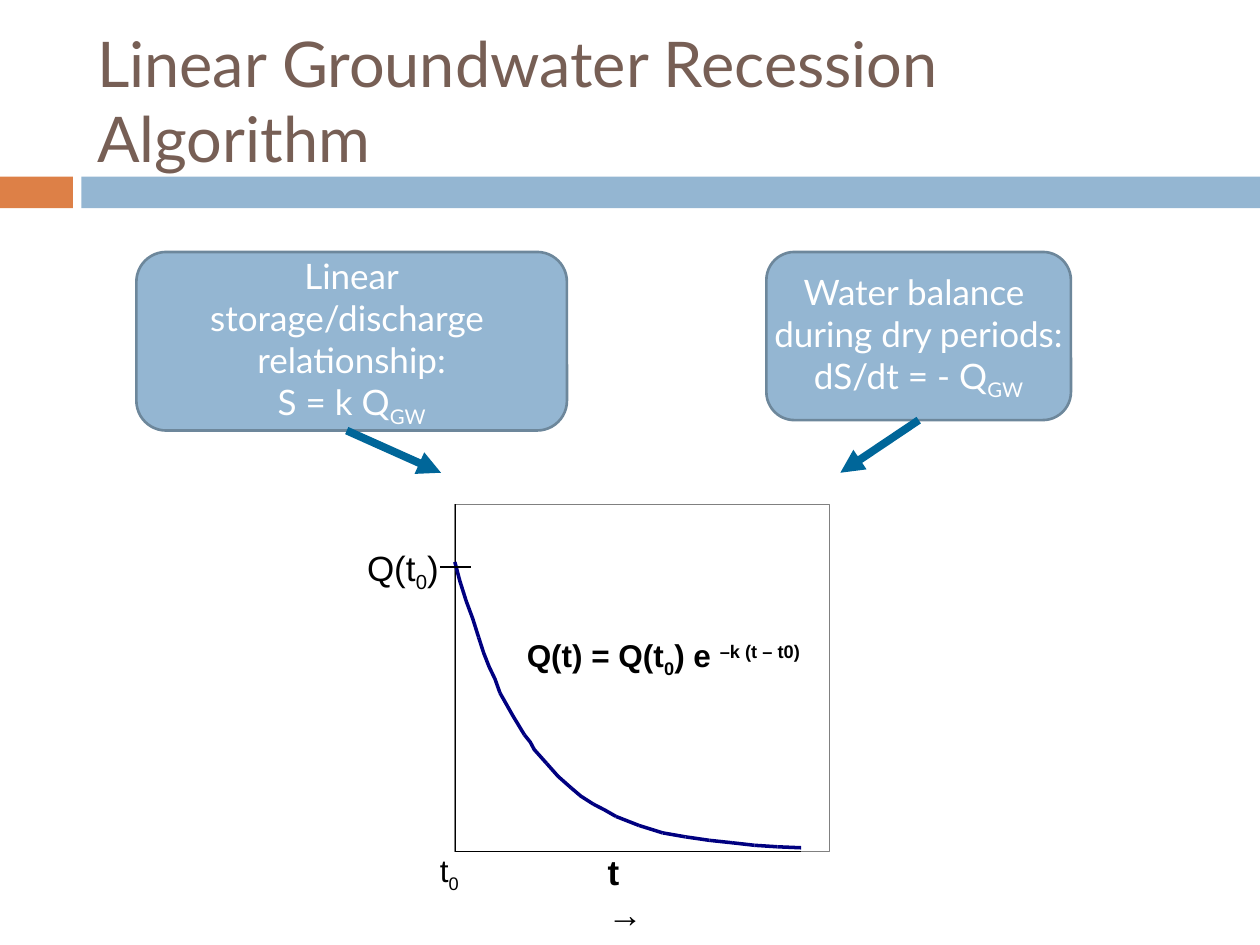
from itertools import pairwise

from lxml import etree
from pptx import Presentation
from pptx import util as u
from pptx.dml.color import RGBColor
from pptx.enum import shapes as sh, text as tx
from pptx.oxml.ns import qn

# Content: a paragraph is a list of (text, baseline shift in percent)
TITLE = [[("Linear Groundwater Recession Algorithm", 0)]]
BARS = [((0, 3.56, 1.47, 0.64), "DD8047"), ((1.64, 3.56, 23.76, 0.64), "94B6D2")]
STORE = [[("Linear", 0)], [("storage/discharge ", 0)], [("relationship:", 0)],
         [("S = k Q", 0), ("GW", -25)]]
WATER = [[("Water balance ", 0)], [("during dry periods:", 0)],
         [("dS/dt = - Q", 0), ("GW", -25)]]
FLOW = [[("Q(t) = Q(t", 0), ("0", -25), (") e ", 0), ("–k (t – t0)", 30)]]
LABELS = [  # place, paragraphs, format
    ((7.4, 11.01, 1.47, 0.84), [[("Q(t", 0), ("0", -25), (")", 0)]],
     dict(size=20, wrap=False, pad=(0, 0))),
    ((8.87, 17.15, 0.41, 0.76), [[("t", 0), ("0", -25)]],
     dict(size=18, wrap=False, pad=(0, 0))),
    ((12.25, 17.15, 1.02, 1.68), [[("t →", 0)]],
     dict(size=20, bold=True, pad=(0, 0))),
    ((10.37, 12.7, 6.35, 1.02), FLOW, dict(size=18, bold=True)),
]
CURVE = [
    (9.17, 11.33), (9.27, 11.71), (9.4, 12.12), (9.53, 12.47), (9.65, 12.85),
    (9.75, 13.16), (9.86, 13.44), (9.98, 13.69), (10.08, 13.97), (10.21, 14.2),
    (10.34, 14.43), (10.57, 14.81), (10.69, 14.96), (10.77, 15.11), (11.02, 15.39),
    (11.25, 15.65), (11.51, 15.88), (11.71, 16.05), (11.96, 16.21), (12.19, 16.33),
    (12.42, 16.46), (12.88, 16.64), (13.36, 16.79), (13.82, 16.87), (14.3, 16.94),
    (14.76, 16.99), (15.21, 17.04), (15.67, 17.07), (16.15, 17.09)]
BENDS = [0, 4, 8, 11, 14, 16, 18, 20]  # curved pieces end here, straight ones follow
LEFT, TOP, WIDE, HIGH = PLOT = (9.17, 10.17, 7.56, 6.99)
BASE = TOP + HIGH

deck = Presentation()
deck.slide_width, deck.slide_height = u.Cm(25.4), u.Cm(19.05)
slide = deck.slides.add_slide(deck.slide_layouts[6])
parts = slide.shapes


def color(code):
    return RGBColor.from_string(code)


def cms(nums):
    return [u.Cm(n) for n in nums]


def write(shape, paras, size=20, face="Arial", ink="000000", bold=False,
          wrap=True, pad=(0.25, 0.13), align=None, anchor=tx.MSO_ANCHOR.TOP):
    frame = shape.text_frame
    frame.word_wrap, frame.vertical_anchor = wrap, anchor
    frame.margin_left = frame.margin_right = u.Cm(pad[0])
    frame.margin_top = frame.margin_bottom = u.Cm(pad[1])
    for i, runs in enumerate(paras):
        para = frame.add_paragraph() if i else frame.paragraphs[0]
        para.alignment = align
        for words, shift in runs:
            run = para.add_run()
            run.text = words
            font = run.font
            font.size, font.name, font.bold = u.Pt(size), face, bold
            font.color.rgb = color(ink)
            if shift:
                run._r.get_or_add_rPr().set("baseline", str(shift * 1000))


def style(shape, fill=None, line=None, width=0):
    shape.shadow.inherit = False
    if fill:
        shape.fill.solid()
        shape.fill.fore_color.rgb = color(fill)
    else:
        shape.fill.background()
    if line:
        shape.line.color.rgb = color(line)
        shape.line.width = u.Pt(width)
    else:
        shape.line.fill.background()
    return shape


def block(kind, place, **form):
    return style(parts.add_shape(kind, *cms(place)), **form)


def link(ends, ink="000000", width=0.1, arrow=False):
    line = parts.add_connector(sh.MSO_CONNECTOR.STRAIGHT, *cms(ends))
    line.line.color.rgb = color(ink)
    line.line.width = u.Pt(width)
    if arrow:
        etree.SubElement(line.line._get_or_add_ln(), qn("a:tailEnd"), type="triangle")
    etree.SubElement(line._element.spPr, qn("a:effectLst"))
    return line


# Title and bars
for place, fill in BARS:
    block(sh.MSO_SHAPE.RECTANGLE, place, fill=fill)
write(parts.add_textbox(*cms((1.71, 0.64, 22.66, 2.74))), TITLE, size=36,
      face="Lato", ink="775F55", anchor=tx.MSO_ANCHOR.MIDDLE)


# Two assumptions
def card(place, paras):
    box = block(sh.MSO_SHAPE.ROUNDED_RECTANGLE, place,
                fill="94B6D2", line="6D879B", width=1.5)
    write(box, paras, face="Lato", ink="FFFFFF", wrap=False,
          align=tx.PP_ALIGN.CENTER, anchor=tx.MSO_ANCHOR.MIDDLE)
    return box


water = card((15.45, 5.08, 6.14, 3.39), WATER)
card((2.75, 5.08, 8.68, 3.6), STORE)

# Plot frame and axes
block(sh.MSO_SHAPE.RECTANGLE, PLOT, line="808080", width=0.63)
link((LEFT, TOP, LEFT, BASE))
link((LEFT, BASE, CURVE[-1][0], BASE))

# Recession curve
for start, end in pairwise(BENDS):
    dots = [cms(dot) for dot in CURVE[start:end + 1]]
    pen = parts.build_freeform(*dots[0])
    pen.add_line_segments(dots[1:], close=False)
    style(pen.convert_to_shape(), line="000080", width=2)
for start, end in pairwise(CURVE[BENDS[-1]:]):
    link(start + end, ink="000080", width=2)

# Labels and tick
for place, paras, form in LABELS:
    write(parts.add_textbox(*cms(place)), paras, **form)
link((8.87, 11.43, 9.5, 11.43), width=0.75)

# Arrows to the plot
bold = dict(ink="006699", width=4.5, arrow=True)
link((18.52, 8.47, 16.94, 9.53), **bold).begin_connect(water, 2)
link((6.99, 8.68, 8.89, 9.53), **bold)

deck.save("out.pptx")
